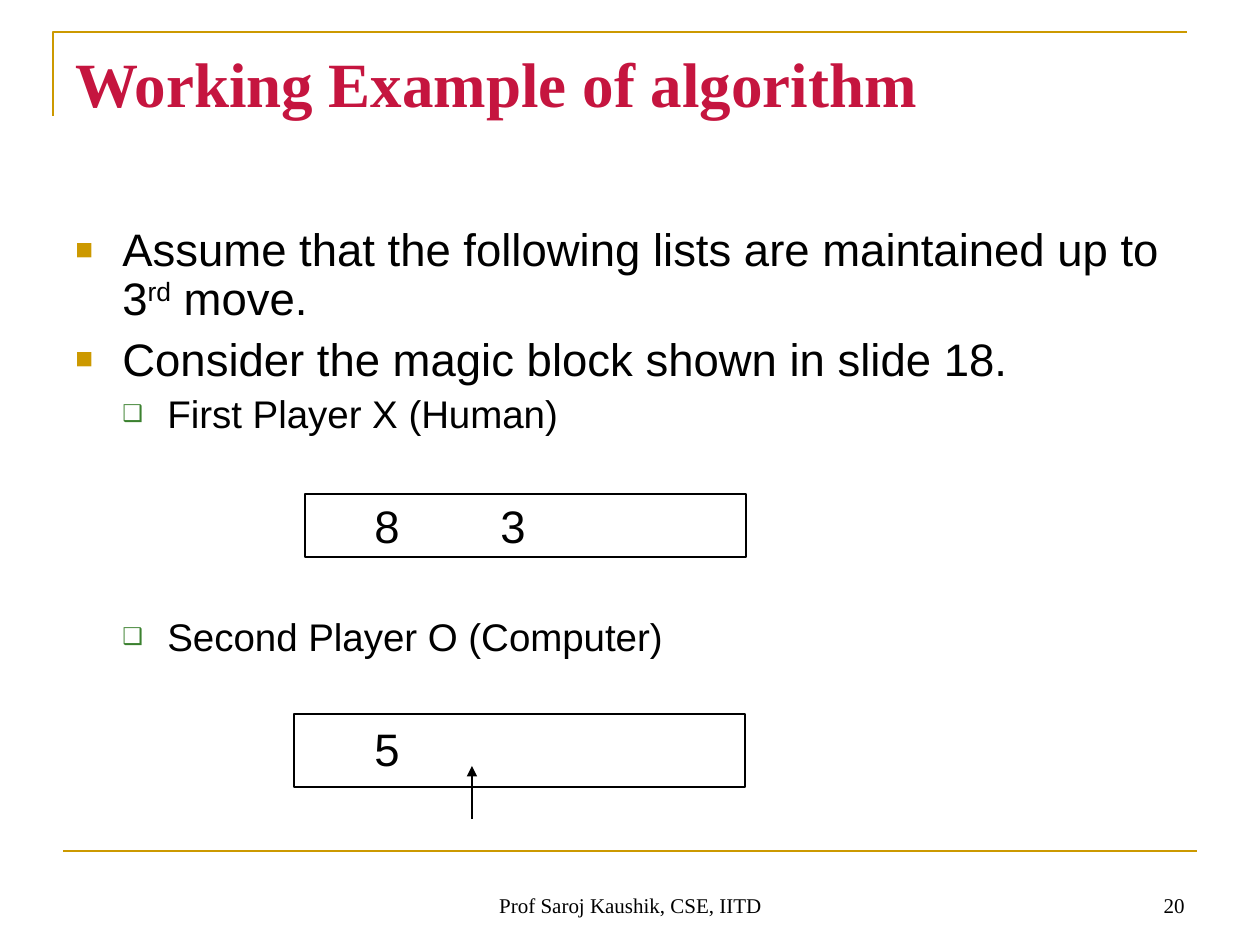
from lxml import etree
from pptx import Presentation
from pptx.dml.color import RGBColor
from pptx.enum.shapes import MSO_CONNECTOR, MSO_SHAPE
from pptx.enum.text import MSO_ANCHOR, PP_ALIGN
from pptx.oxml.ns import qn
from pptx.util import Pt

LEFT, CENTER, RIGHT = PP_ALIGN.LEFT, PP_ALIGN.CENTER, PP_ALIGN.RIGHT
TOP, BOTTOM = MSO_ANCHOR.TOP, MSO_ANCHOR.BOTTOM
STRAIGHT, RECTANGLE = MSO_CONNECTOR.STRAIGHT, MSO_SHAPE.RECTANGLE
SCALE = 914400 / 126
COLORS = {"gold": "CC9900", "title": "C5153F", "green": "3B812F", "black": "000000"}
SERIF, SANS = "Times New Roman", "Arial"

# Content: paragraphs are (style, space before in points, runs)
TITLE = "Working Example of algorithm"
FOOTER = "Prof Saroj Kaushik, CSE, IITD"
PAGE_NUMBER = "20"
BODY = [
    ("point", 0, ["Assume that the following lists are maintained up to 3", ("rd", 30000), " move."]),
    ("point", 6.5, ["Consider the magic block shown in slide 18."]),
    ("player", 5.5, ["First Player X (Human)"]),
    ("player", 103.5, ["Second Player O (Computer)"]),
]
STYLES = {
    "point": {"size": 26, "margin": 47, "indent": -47, "bullet": ("■", "gold", 65)},
    "player": {"size": 22, "margin": 92, "indent": -45, "bullet": ("❑", "green", 60)},
}
# Each list of moves: box left, top, width, height, then text top and moves
MOVE_LISTS = [
    ((305, 494, 441, 63), 492, ["8", "3"]),
    ((294, 714, 451, 73), 715, ["5"]),
]
MOVE_LEFT, MOVE_STEP, MOVE_WIDTH, MOVE_HEIGHT = 362, 126, 63, 64


def px(value):
    return round(value * SCALE)


def color(name):
    return RGBColor.from_string(COLORS[name])


def add_child(parent, tag, **attributes):
    values = {key: str(value) for key, value in attributes.items()}
    return etree.SubElement(parent, qn(tag), values)


def format_paragraph(paragraph, margin, indent, bullet):
    character, bullet_color, percent = bullet
    properties = paragraph._p.get_or_add_pPr()
    properties.set("marL", str(px(margin)))
    properties.set("indent", str(px(indent)))
    fill = add_child(properties, "a:buClr")
    add_child(fill, "a:srgbClr", val=COLORS[bullet_color])
    add_child(properties, "a:buSzPct", val=percent * 1000)
    add_child(properties, "a:buFont", typeface=SANS)
    add_child(properties, "a:buChar", char=character)


def add_text(paragraph, text, size, font=SANS, text_color="black", bold=False, align=LEFT, raised=0):
    paragraph.alignment = align
    run = paragraph.add_run()
    run.text = text
    run.font.size, run.font.name, run.font.bold = Pt(size), font, bold
    run.font.color.rgb = color(text_color)
    if raised:
        run.font._element.set("baseline", str(raised))


def add_box(slide, left, top, width, height, anchor=TOP):
    frame = slide.shapes.add_textbox(px(left), px(top), px(width), px(height)).text_frame
    frame.word_wrap = True
    frame.vertical_anchor = anchor
    return frame


def set_line(shape, line_color, width):
    shape.line.color.rgb = color(line_color)
    shape.line.width = Pt(width)


def add_line(slide, x1, y1, x2, y2, line_color, width, arrow=False):
    line = slide.shapes.add_connector(STRAIGHT, px(x1), px(y1), px(x2), px(y2))
    set_line(line, line_color, width)
    if arrow:
        add_child(line.line._get_or_add_ln(), "a:tailEnd", type="triangle")
    add_child(line._element.spPr, "a:effectLst")


presentation = Presentation()
presentation.slide_width, presentation.slide_height = px(1260), px(945)
slide = presentation.slides.add_slide(presentation.slide_layouts[6])

# Frame lines
builder = slide.shapes.build_freeform(px(53), px(116), scale=1.0)
builder.add_line_segments([(px(53), px(32)), (px(1187), px(32))], close=False)
corner = builder.convert_to_shape()
corner.shadow.inherit = False
corner.fill.background()
set_line(corner, "gold", 1.5)
add_line(slide, 63, 851, 1197, 851, "gold", 1.5)

# Footer, page number and title
footer = add_box(slide, 431, 861, 399, 63, anchor=BOTTOM)
add_text(footer.paragraphs[0], FOOTER, 12, font=SERIF, align=CENTER)
number = add_box(slide, 903, 861, 294, 63, anchor=BOTTOM)
add_text(number.paragraphs[0], PAGE_NUMBER, 12, font=SERIF, align=RIGHT)
title = add_box(slide, 63, 38, 1134, 158)
add_text(title.paragraphs[0], TITLE, 36, font=SERIF, text_color="title", bold=True)

# Body
body = add_box(slide, 63, 221, 1134, 624)
for index, (style, space_before, runs) in enumerate(BODY):
    paragraph = body.add_paragraph() if index else body.paragraphs[0]
    layout = dict(STYLES[style])
    size = layout.pop("size")
    format_paragraph(paragraph, **layout)
    paragraph.line_spacing = 0.9
    paragraph.space_before = Pt(space_before)
    for run in runs:
        text, raised = run if isinstance(run, tuple) else (run, 0)
        add_text(paragraph, text, size, raised=raised)

# Boxes with the moves at equal steps, and the arrow to the next free place
for (left, top, width, height), text_top, moves in MOVE_LISTS:
    box = slide.shapes.add_shape(RECTANGLE, px(left), px(top), px(width), px(height))
    box.shadow.inherit = False
    box.fill.background()
    set_line(box, "black", 1.5)
    for index, move in enumerate(moves):
        cell = add_box(slide, MOVE_LEFT + index * MOVE_STEP, text_top, MOVE_WIDTH, MOVE_HEIGHT)
        add_text(cell.paragraphs[0], move, 26)
add_line(slide, 472, 819, 472, 766, "black", 0.75, arrow=True)

presentation.save("out.pptx")
